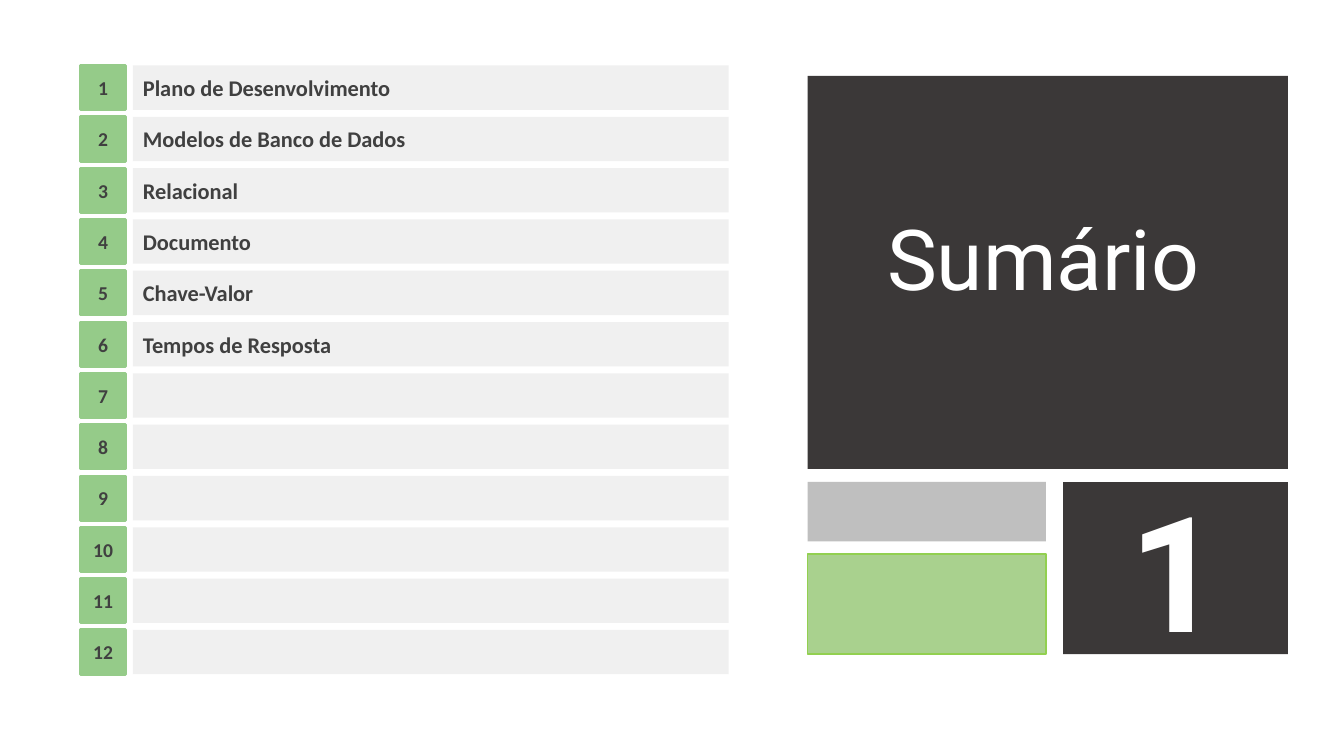
"""Builds the numbered summary slide."""
from pptx import Presentation
from pptx.dml.color import RGBColor
from pptx.enum.shapes import MSO_SHAPE
from pptx.enum.text import MSO_ANCHOR, MSO_AUTO_SIZE, PP_ALIGN
from pptx.util import Pt

RECTANGLE = MSO_SHAPE.RECTANGLE
MIDDLE = MSO_ANCHOR.MIDDLE
GROW = MSO_AUTO_SIZE.SHAPE_TO_FIT_TEXT
LEFT, CENTER = PP_ALIGN.LEFT, PP_ALIGN.CENTER

TITLE = "Sumário"
SECTION = "1"
TOPICS = ["Plano de Desenvolvimento", "Modelos de Banco de Dados", "Relacional",
          "Documento", "Chave-Valor", "Tempos de Resposta"]
ROW_COUNT = 12

COLORS = {"dark": "3B3838", "gray": "BFBFBF", "green": "A9D18E", "lime": "92D050",
          "badge": "95CB89", "bar": "F0F0F0", "ink": "404040", "white": "FFFFFF"}

ROW_TOP, ROW_PITCH, ROW_HEIGHT = 46.8, 36.65, 31.7
BADGE_LEFT, BADGE_WIDTH = 57.4, 32.4
BAR_LEFT, BAR_WIDTH = 95, 425.5

PANEL_LEFT, PANEL_RIGHT = 576.9, 919.9
TILE_TOP, TILE_BOTTOM = 344.3, 467.3
TILE_WIDTH = 170.2
GREEN_TOP = 395.8
SECTION_LEFT = 759.4


def rgb(name):
    return RGBColor.from_string(COLORS[name])


def add_block(slide, box, fill, line=None, line_width=1):
    block = slide.shapes.add_shape(RECTANGLE, *map(Pt, box))
    block.shadow.inherit = False
    block.fill.solid()
    block.fill.fore_color.rgb = rgb(fill)
    if line:
        block.line.color.rgb = rgb(line)
        block.line.width = Pt(line_width)
    else:
        block.line.fill.background()
    return block


def write(shape, text, font_name, size, color, align, bold=True):
    shape.text_frame.text = text
    paragraph = shape.text_frame.paragraphs[0]
    paragraph.alignment = align
    font = paragraph.font
    font.name, font.size, font.bold = font_name, Pt(size), bold
    font.color.rgb = rgb(color)


def add_panel(slide):
    add_block(slide, (PANEL_LEFT, 54.2, PANEL_RIGHT - PANEL_LEFT, 280.8), "dark")
    add_block(slide, (PANEL_LEFT, TILE_TOP, TILE_WIDTH, 42.4), "gray")
    section = add_block(slide, (SECTION_LEFT, TILE_TOP, PANEL_RIGHT - SECTION_LEFT,
                                TILE_BOTTOM - TILE_TOP), "dark")
    section.text_frame.vertical_anchor = MIDDLE
    write(section, SECTION, "Roboto", 115, "white", CENTER)
    add_block(slide, (PANEL_LEFT, GREEN_TOP, TILE_WIDTH, TILE_BOTTOM - GREEN_TOP),
              "green", "lime")
    title = slide.shapes.add_textbox(Pt(626.6), Pt(144), Pt(244), Pt(80))
    title.text_frame.word_wrap = False
    title.text_frame.auto_size = GROW
    write(title, TITLE, "Roboto", 60, "white", LEFT, bold=False)


def add_rows(slide):
    for index in range(ROW_COUNT):
        top = ROW_TOP + index * ROW_PITCH
        badge = add_block(slide, (BADGE_LEFT, top, BADGE_WIDTH, ROW_HEIGHT),
                          "badge", "badge", 2)
        badge.text_frame.vertical_anchor = MIDDLE
        write(badge, str(index + 1), "Calibri", 14, "ink", CENTER)
        bar = add_block(slide, (BAR_LEFT, top, BAR_WIDTH, ROW_HEIGHT), "bar")
        if index < len(TOPICS):
            bar.text_frame.vertical_anchor = MIDDLE
            write(bar, TOPICS[index], "Calibri", 16, "ink", LEFT)


def main():
    deck = Presentation()
    deck.slide_width, deck.slide_height = Pt(960), Pt(540)
    slide = deck.slides.add_slide(deck.slide_layouts[6])
    add_panel(slide)
    add_rows(slide)
    deck.save("out.pptx")


if __name__ == "__main__":
    main()
